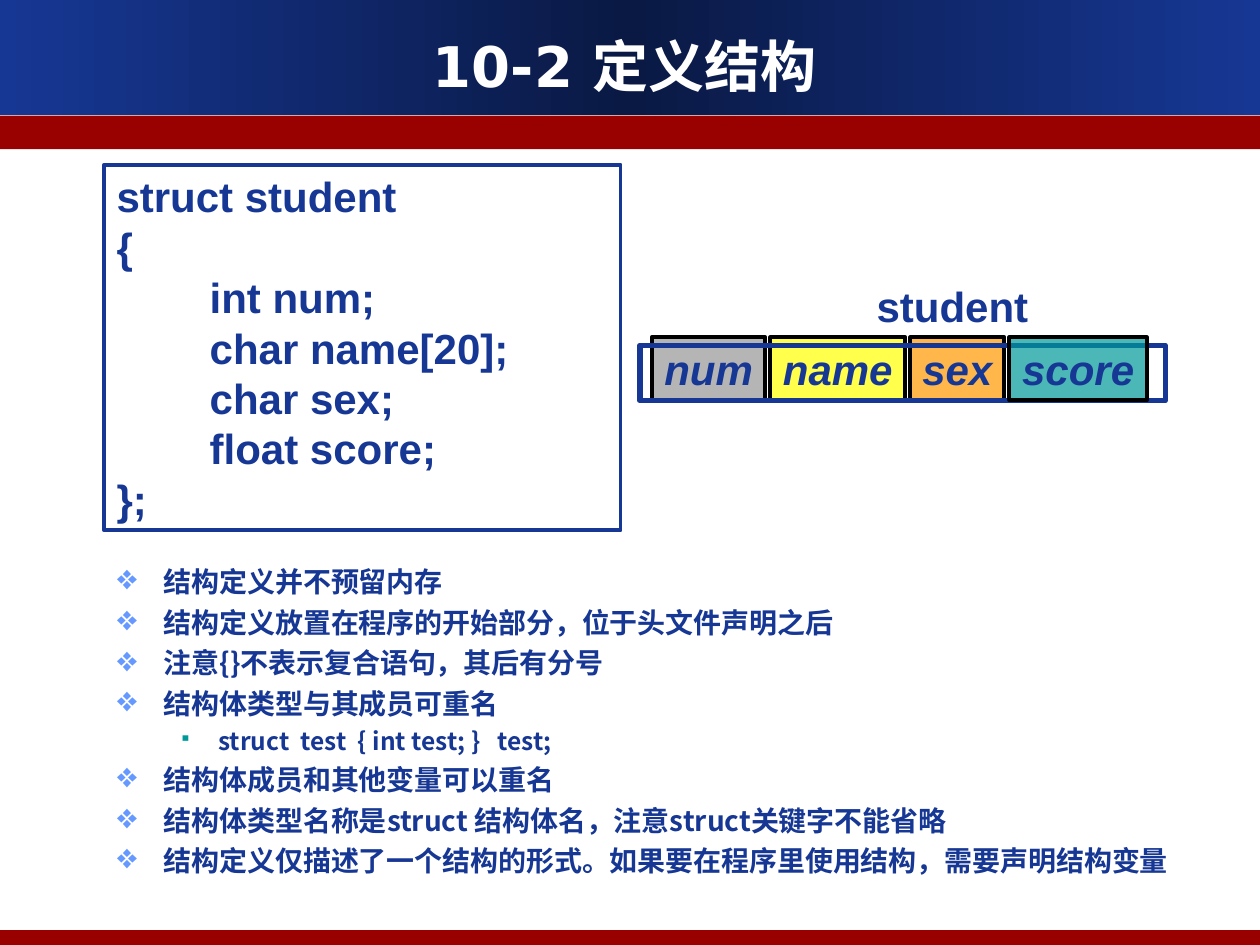
from pptx import Presentation, util as u
from pptx.dml.color import RGBColor
from pptx.enum import shapes, text
from pptx.oxml import parse_xml
from pptx.oxml.ns import nsdecls, qn
from lxml import etree
import copy

COLORS = {
    "blue": "163794", "navy": "0A1944", "red": "990000", "white": "FFFFFF",
    "black": "000000", "gray": "969696", "yellow": "FFFF00",
    "orange": "FF9900", "teal": "009999", "sky": "6699FF",
}
CJK = "Noto Sans CJK SC"

# Content
TITLE = "10-2 定义结构"
CODE = [
    "struct student",
    "{",
    "        int num;",
    "        char name[20];",
    "        char sex;",
    "        float score;",
    "};",
]
FIELDS = [  # name, fill, width in cm
    ("num", "gray", 2.29),
    ("name", "yellow", 2.72),
    ("sex", "orange", 1.9),
    ("score", "teal", 2.77),
]
NOTES = [  # level, text
    (0, "结构定义并不预留内存"),
    (0, "结构定义放置在程序的开始部分，位于头文件声明之后"),
    (0, "注意{}不表示复合语句，其后有分号"),
    (0, "结构体类型与其成员可重名"),
    (1, "struct  test  { int test; }   test;"),
    (0, "结构体成员和其他变量可以重名"),
    (0, "结构体类型名称是struct 结构体名，注意struct关键字不能省略"),
    (0, "结构定义仅描述了一个结构的形式。如果要在程序里使用结构，需要声明结构变量"),
]

# Formats
CODE_FONT = {"name": "Arial", "size": u.Pt(24), "bold": True}
FIELD_FONT = {**CODE_FONT, "italic": True}
TITLE_FONT = {"name": "DejaVu Sans", "size": u.Pt(32), "bold": True}
LEVELS = [
    {"mark": "❖", "scale": 125, "color": "sky", "size": 16, "before": 4, "left": 0.95, "hang": 0.94},
    {"mark": "▪", "scale": 70, "color": "teal", "size": 14, "before": 3.5, "left": 2.05, "hang": 0.79},
]


def rgb(name):
    return RGBColor.from_string(COLORS[name])


def box(left, top, width, height):
    return [u.Cm(v) for v in (left, top, width, height)]


def add_rect(place, fill=None, opacity=100, line=None, weight=2.25):
    rect = slide.shapes.add_shape(shapes.MSO_SHAPE.RECTANGLE, *place)
    rect.shadow.inherit = False
    if fill:
        rect.fill.solid()
        rect.fill.fore_color.rgb = rgb(fill)
        if opacity < 100:
            color = rect._element.spPr.find(qn("a:solidFill"))[0]
            etree.SubElement(color, qn("a:alpha")).set("val", str(opacity * 1000))
    else:
        rect.fill.background()
    if line:
        rect.line.color.rgb = rgb(line)
        rect.line.width = u.Pt(weight)
    else:
        rect.line.fill.background()
    return rect


def set_font(run, formats, color="blue"):
    for key, value in formats.items():
        setattr(run.font, key, value)
    run.font.color.rgb = rgb(color)
    east_asian = etree.SubElement(run._r.get_or_add_rPr(), qn("a:ea"))
    east_asian.set("typeface", CJK)


def write(shape, lines, formats, color="blue", align="LEFT", anchor="TOP", wrap=True):
    frame = shape.text_frame
    frame.word_wrap = wrap
    frame.vertical_anchor = getattr(text.MSO_ANCHOR, anchor)
    for i, line in enumerate(lines):
        paragraph = frame.add_paragraph() if i else frame.paragraphs[0]
        paragraph.alignment = getattr(text.PP_ALIGN, align)
        run = paragraph.add_run()
        run.text = line
        set_font(run, formats, color)


def add_bullet(paragraph, level):
    props = paragraph._p.get_or_add_pPr()
    props.set("marL", str(u.Cm(level["left"])))
    props.set("indent", str(-u.Cm(level["hang"])))
    for xml in (
        f'<a:buClr {nsdecls("a")}><a:srgbClr val="{COLORS[level["color"]]}"/></a:buClr>',
        f'<a:buSzPct {nsdecls("a")} val="{level["scale"] * 1000}"/>',
        f'<a:buChar {nsdecls("a")} char="{level["mark"]}"/>',
    ):
        props.append(parse_xml(xml))


prs = Presentation()
prs.slide_width, prs.slide_height = u.Cm(25.4), u.Cm(19.05)
slide = prs.slides.add_slide(prs.slide_layouts[5])

# Header and footer bands
header = add_rect(box(0, 0, 25.4, 2.32))
header.fill.gradient()
header.fill.gradient_angle = 0
stops = header._element.spPr.find(qn("a:gradFill")).find(qn("a:gsLst"))
stops.insert(1, copy.deepcopy(stops[0]))
for stop, position, color in zip(header.fill.gradient_stops, (0, 0.5, 1), ("blue", "navy", "blue")):
    stop.position = position
    stop.color.rgb = rgb(color)
for top, height in ((2.33, 0.68), (18.75, 0.3)):
    add_rect(box(0, top, 25.4, height), "red")

# Title, brought in front of the header
title = slide.shapes.title
title.left, title.top, title.width, title.height = box(0.85, 0.51, 23.5, 1.6)
write(title, [TITLE], TITLE_FONT, "white", "CENTER", "MIDDLE")
slide.shapes._spTree.append(title._element)

# Code panel
panel = add_rect(box(2.1, 3.32, 10.41, 7.37), "white", 80, "blue")
write(panel, CODE, CODE_FONT)

# Struct layout: label, field cells, and a frame behind the last cell
label = slide.shapes.add_textbox(*box(17.42, 5.53, 3.56, 1.27))
write(label, ["student"], CODE_FONT, align="CENTER", wrap=False)
left, gap = 13.14, 0.1
for name, fill, width in FIELDS:
    if name == FIELDS[-1][0]:
        add_rect(box(12.9, 6.96, 10.59, 1.12), line="blue", weight=3)
    cell = add_rect(box(left, 6.8, width, 1.27), fill, 70, "black")
    write(cell, [name], FIELD_FONT, align="CENTER", wrap=False)
    left += width + gap

# Notes
notes = slide.shapes.add_textbox(*box(2.1, 11.26, 22.2, 7.3)).text_frame
notes.word_wrap = True
for i, (depth, note) in enumerate(NOTES):
    level = LEVELS[depth]
    paragraph = notes.add_paragraph() if i else notes.paragraphs[0]
    paragraph.level = depth
    paragraph.space_before = u.Pt(level["before"] if i else 0)
    add_bullet(paragraph, level)
    run = paragraph.add_run()
    run.text = note
    set_font(run, {"name": CJK, "size": u.Pt(level["size"]), "bold": True})

prs.save("out.pptx")
